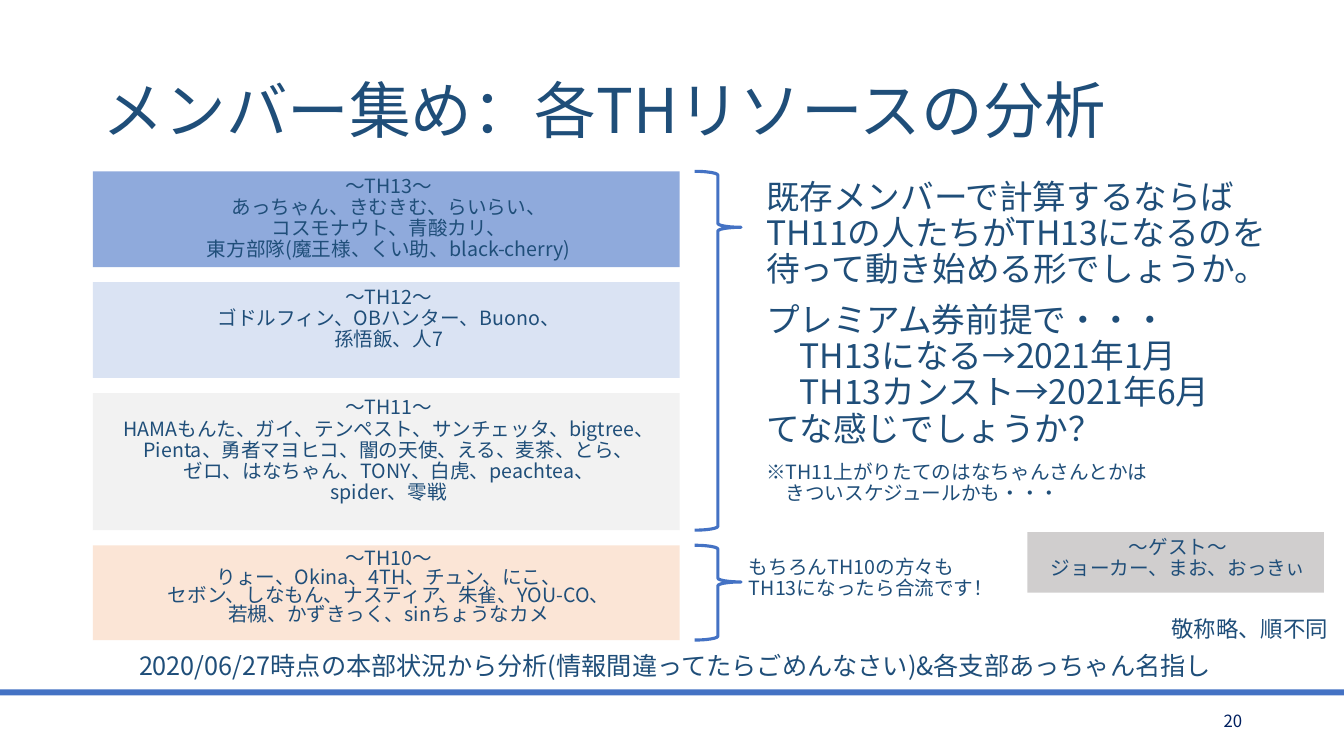
from copy import deepcopy
from dataclasses import dataclass

from lxml import etree
from pptx import Presentation
from pptx.dml.color import RGBColor
from pptx.enum.shapes import MSO_SHAPE
from pptx.enum.text import MSO_ANCHOR, MSO_AUTO_SIZE, PP_ALIGN
from pptx.oxml.ns import qn
from pptx.util import Inches, Pt

RECTANGLE = MSO_SHAPE.RECTANGLE
RIGHT_BRACE = MSO_SHAPE.RIGHT_BRACE
LEFT, CENTER, RIGHT = PP_ALIGN.LEFT, PP_ALIGN.CENTER, PP_ALIGN.RIGHT
TOP, MIDDLE = MSO_ANCHOR.TOP, MSO_ANCHOR.MIDDLE
NO_AUTOFIT = MSO_AUTO_SIZE.NONE

FONT = "Noto Sans CJK JP"
NAVY = "1F4E79"
BLUE = "4472C4"
SLIDE_WIDTH = 13.33
STACK_LEFT, STACK_TOP, STACK_WIDTH, STACK_GAP = 0.92, 1.7, 5.82, 0.15
BRACE_LEFT, BRACE_WIDTH = 6.89, 0.46


@dataclass
class Area:
    left: float
    top: float
    width: float
    height: float

    def lengths(self):
        return [Inches(value) for value in (self.left, self.top, self.width, self.height)]


@dataclass
class Group:
    text: str
    height: float
    fill: str
    line_spacing: float = 0.9


@dataclass
class Note:
    area: Area
    paragraphs: list[tuple[str, float]]
    align: PP_ALIGN = LEFT


GROUPS = [
    Group("〜TH13〜\nあっちゃん、きむきむ、らいらい、\nコスモナウト、青酸カリ、\n"
          "東方部隊(魔王様、くい助、black-cherry)", 0.95, "8FAADC"),
    Group("〜TH12〜\nゴドルフィン、OBハンター、Buono、\n孫悟飯、人7", 0.95, "DAE3F3"),
    Group("〜TH11〜\nHAMAもんた、ガイ、テンペスト、サンチェッタ、bigtree、\n"
          "Pienta、勇者マヨヒコ、闇の天使、える、麦茶、とら、\n"
          "ゼロ、はなちゃん、TONY、白虎、peachtea、\nspider、零戦", 1.36, "F2F2F2"),
    Group("〜TH10〜\nりょー、Okina、4TH、チュン、にこ、\n"
          "セボン、しなもん、ナスティア、朱雀、YOU-CO、\n"
          "若槻、かずきっく、sinちょうなカメ", 0.94, "FBE5D6", 0.8),
]

NOTES = [
    Note(Area(0.39, 6.44, 12.56, 0.81),
         [("2020/06/27時点の本部状況から分析(情報間違ってたらごめんなさい)&各支部あっちゃん名指し", 18)],
         CENTER),
    Note(Area(7.45, 1.74, 5.27, 3.39), [
        ("既存メンバーで計算するならばTH11の人たちがTH13になるのを待って動き始める形でしょうか。", 24),
        ("プレミアム券前提で・・・\n　TH13になる→2021年1月\n　TH13カンスト→2021年6月\nてな感じでしょうか？", 24),
        ("※TH11上がりたてのはなちゃんさんとかは\n　きついスケジュールかも・・・", 14),
    ]),
    Note(Area(7.28, 5.48, 2.78, 0.81), [("もちろんTH10の方々も\nTH13になったら合流です！", 14)]),
    Note(Area(11.4, 6.08, 1.87, 0.36), [("敬称略、順不同", 16)], RIGHT),
]


def rgb(value: str) -> RGBColor:
    return RGBColor.from_string(value)


def write_text(shape, paragraphs, color=NAVY, align=LEFT, anchor=TOP,
               line_spacing=0.9, space_before=10.0, margin=0.05) -> None:
    frame = shape.text_frame
    frame.word_wrap = True
    frame.auto_size = NO_AUTOFIT
    frame.vertical_anchor = anchor
    for index, (text, size) in enumerate(paragraphs):
        paragraph = frame.add_paragraph() if index else frame.paragraphs[0]
        paragraph.text = text
        paragraph.alignment = align
        paragraph.line_spacing = line_spacing
        paragraph.space_before = Pt(space_before)
        properties = paragraph._p.get_or_add_pPr()
        properties.set("marL", str(Inches(margin)))
        properties.set("indent", "0")
        for run in paragraph.runs:
            run.font.size = Pt(size)
            run.font.color.rgb = rgb(color)
            run.font.name = FONT
            run_properties = run._r.get_or_add_rPr()
            etree.SubElement(run_properties, qn("a:ea")).set("typeface", FONT)
        for line_break in paragraph._p.findall(qn("a:br")):
            line_break.append(deepcopy(run_properties))


def add_block(slide, area: Area, fill: str):
    shape = slide.shapes.add_shape(RECTANGLE, *area.lengths())
    shape.shadow.inherit = False
    shape.fill.solid()
    shape.fill.fore_color.rgb = rgb(fill)
    shape.line.fill.background()
    return shape


def add_brace(slide, top: float, bottom: float, point: float) -> None:
    area = Area(BRACE_LEFT, top, BRACE_WIDTH, bottom - top)
    brace = slide.shapes.add_shape(RIGHT_BRACE, *area.lengths())
    brace.shadow.inherit = False
    brace.fill.background()
    brace.line.color.rgb = rgb(BLUE)
    brace.line.width = Pt(2.25)
    brace.adjustments[0] = 0.083
    brace.adjustments[1] = point


def add_groups(slide) -> list[Area]:
    areas = []
    top = STACK_TOP
    for group in GROUPS:
        area = Area(STACK_LEFT, top, STACK_WIDTH, group.height)
        write_text(add_block(slide, area, group.fill), [(group.text, 14)],
                   align=CENTER, line_spacing=group.line_spacing)
        areas.append(area)
        top += group.height + STACK_GAP
    return areas


def main() -> None:
    presentation = Presentation()
    presentation.slide_width = Inches(SLIDE_WIDTH)
    presentation.slide_height = Inches(7.5)
    slide = presentation.slides.add_slide(presentation.slide_layouts[5])

    add_block(slide, Area(0, 6.84, SLIDE_WIDTH, 0.06), BLUE)
    title = slide.shapes.title
    title.left, title.top, title.width, title.height = Area(0.92, 0.4, 11.5, 1.45).lengths()
    write_text(title, [("メンバー集め：各THリソースの分析", 44)],
               anchor=MIDDLE, space_before=0, margin=0)

    areas = add_groups(slide)
    upper, lower = areas[2], areas[3]
    add_brace(slide, STACK_TOP, upper.top + upper.height, 0.156)
    add_brace(slide, lower.top, lower.top + lower.height, 0.387)

    guests = add_block(slide, Area(10.19, 5.28, 2.94, 0.6), "D0CECE")
    write_text(guests, [("〜ゲスト〜\nジョーカー、まお、おっきぃ", 14)], align=CENTER)

    for note in NOTES:
        text_box = slide.shapes.add_textbox(*note.area.lengths())
        write_text(text_box, note.paragraphs, align=note.align)

    page_number = slide.shapes.add_textbox(*Area(9.42, 6.95, 3, 0.4).lengths())
    write_text(page_number, [("20", 12)], color="002060", align=RIGHT, anchor=MIDDLE,
               line_spacing=1.0, space_before=0, margin=0)

    presentation.save("out.pptx")


if __name__ == "__main__":
    main()
